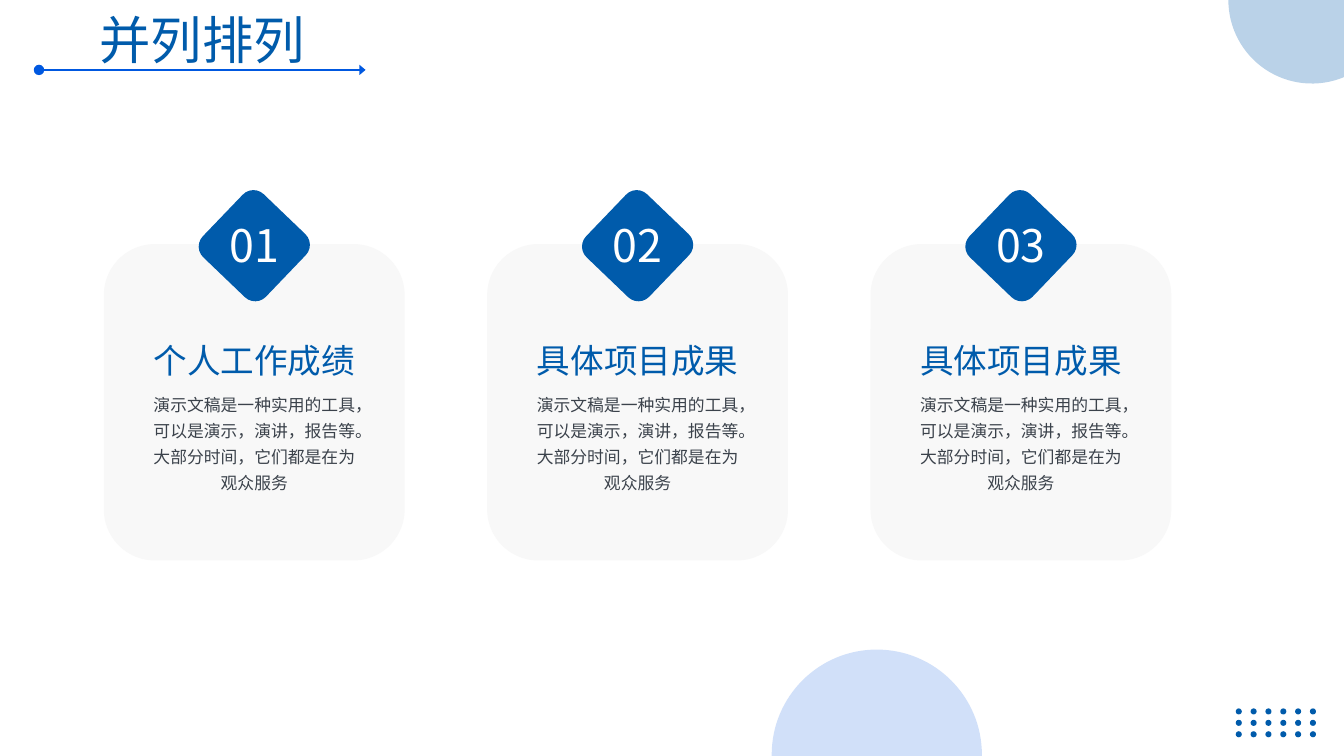
import math

from lxml import etree
from pptx import Presentation
from pptx.dml.color import RGBColor
from pptx.enum.shapes import MSO_CONNECTOR, MSO_SHAPE
from pptx.enum.text import MSO_ANCHOR, MSO_AUTO_SIZE, PP_ALIGN
from pptx.oxml.ns import qn
from pptx.util import Pt

ROUNDED, OVAL = MSO_SHAPE.ROUNDED_RECTANGLE, MSO_SHAPE.OVAL
STRAIGHT = MSO_CONNECTOR.STRAIGHT
CENTER, TOP, NO_FIT = PP_ALIGN.CENTER, MSO_ANCHOR.TOP, MSO_AUTO_SIZE.NONE
FONT = "Noto Sans CJK SC"
COLORS = {"blue": "005BAB", "bright": "0058E0", "card": "F8F8F8",
          "body": "3B424B", "white": "FFFFFF"}
SLIDE_W, SLIDE_H = 1440, 810
CARD_PITCH = 410.7
BODY = "演示文稿是一种实用的工具，可以是演示，演讲，报告等。大部分时间，它们都是在为观众服务"
CARDS = [("01", "个人工作成绩"), ("02", "具体项目成果"), ("03", "具体项目成果")]


def rgb(color):
    """Return the named colour."""
    return RGBColor.from_string(COLORS[color])


def paint(sp, color, opacity=100):
    """Give a shape a plain fill without line or shadow."""
    sp.shadow.inherit = False
    sp.line.fill.background()
    sp.fill.solid()
    sp.fill.fore_color.rgb = rgb(color)
    if opacity < 100:
        srgb = sp._element.spPr.find(".//" + qn("a:srgbClr"))
        etree.SubElement(srgb, qn("a:alpha"), val=str(opacity * 1000))


def add_shape(s, kind, x, y, w, h, color):
    """Add a filled preset shape."""
    sp = s.shapes.add_shape(kind, Pt(x), Pt(y), Pt(w), Pt(h))
    paint(sp, color)
    return sp


def write(sp, text, size, color, spacing):
    """Write one centred paragraph into a shape."""
    tf = sp.text_frame
    tf.word_wrap, tf.auto_size, tf.vertical_anchor = True, NO_FIT, TOP
    tf.margin_left = tf.margin_right = tf.margin_top = tf.margin_bottom = 0
    p = tf.paragraphs[0]
    p.text, p.alignment, p.line_spacing = text, CENTER, Pt(spacing)
    p.font.size, p.font.name, p.font.color.rgb = Pt(size), FONT, rgb(color)
    latin = p.font._element.find(qn("a:latin"))
    latin.addnext(latin.makeelement(qn("a:ea"), {"typeface": FONT}))


def add_text(s, x, y, w, h, *style):
    """Add a text box."""
    write(s.shapes.add_textbox(Pt(x), Pt(y), Pt(w), Pt(h)), *style)


def arc_points(cx, cy, r, start, end, pieces):
    """Return the start point, then two handles and an end point per curve."""
    step = math.radians(end - start) / pieces
    k = 4 / 3 * math.tan(step / 4)
    points = [(cx + r * math.cos(math.radians(start)),
               cy + r * math.sin(math.radians(start)))]
    for i in range(pieces):
        a = math.radians(start) + i * step
        b = a + step
        points += [(cx + r * (math.cos(a) - k * math.sin(a)),
                    cy + r * (math.sin(a) + k * math.cos(a))),
                   (cx + r * (math.cos(b) + k * math.sin(b)),
                    cy + r * (math.sin(b) - k * math.cos(b))),
                   (cx + r * math.cos(b), cy + r * math.sin(b))]
    return points


def add_disc(s, cx, cy, r, start, end, corners, color, opacity, pieces=2):
    """Add a translucent disc cut off at the slide edges."""
    points = [(Pt(x), Pt(y))
              for x, y in arc_points(cx, cy, r, start, end, pieces) + corners]
    builder = s.shapes.build_freeform(*points[0])
    builder.add_line_segments(points[1:], close=True)
    sp = builder.convert_to_shape()
    lines = list(sp._element.iter(qn("a:lnTo")))
    for i in range(0, 3 * pieces, 3):
        curve = lines[i].makeelement(qn("a:cubicBezTo"), {})
        lines[i].addprevious(curve)
        for line in lines[i:i + 3]:
            curve.append(line[0])
            line.getparent().remove(line)
    paint(sp, color, opacity)


def add_dots(s, x, y, w, h, rows=3, cols=6, d=6.5):
    """Spread a grid of small dots over a box."""
    for row in range(rows):
        for col in range(cols):
            add_shape(s, OVAL, x + col * (w - d) / (cols - 1),
                      y + row * (h - d) / (rows - 1), d, d, "blue")


def add_title(s, x, y, w, h, text):
    """Place the title with its arrow underneath."""
    sp = s.shapes.title
    sp.left, sp.top, sp.width, sp.height = Pt(x), Pt(y), Pt(w), Pt(h)
    write(sp, text, 55, "blue", 66)
    line = s.shapes.add_connector(STRAIGHT, Pt(x), Pt(y + h), Pt(x + w), Pt(y + h))
    line.line.color.rgb, line.line.width = rgb("bright"), Pt(2.25)
    ln = line._element.spPr.find(qn("a:ln"))
    etree.SubElement(ln, qn("a:headEnd"), type="oval", w="lg", len="lg")
    etree.SubElement(ln, qn("a:tailEnd"), type="triangle", w="lg", len="med")
    etree.SubElement(line._element.spPr, qn("a:effectLst"))


def add_card(s, x, y, w, h, number, heading):
    """Add a rounded card with a numbered diamond on its top edge."""
    mid, side = x + w / 2, 93.6
    card = add_shape(s, ROUNDED, x, y, w, h, "card")
    card.adjustments[0] = 0.17
    diamond = add_shape(s, ROUNDED, mid - side / 2, y - 45, side, side, "blue")
    diamond.adjustments[0] = 0.17
    diamond.rotation = 43.8
    add_text(s, mid - 59.5, y - 28.3, 119, 58.3, number, 48, "white", 57.6)
    add_text(s, mid - 109, y + 102.7, 218, 44, heading, 36, "blue", 43.2)
    add_text(s, mid - 112.7, y + 154.5, 225.4, 113.8, BODY, 18, "body", 28.1)


def main():
    """Build the slide."""
    prs = Presentation()
    prs.slide_width, prs.slide_height = Pt(SLIDE_W), Pt(SLIDE_H)
    s = prs.slides.add_slide(prs.slide_layouts[5])
    add_disc(s, 939.4, 808.6, 112.6, 180, 360,
             [(1052, SLIDE_H), (826.8, SLIDE_H)], "bright", 18)
    add_dots(s, 1324, 759, 86, 31)
    add_title(s, 41.8, 8.4, 349.9, 66.5, "并列排列")
    for i, (number, heading) in enumerate(CARDS):
        add_card(s, 111.3 + i * CARD_PITCH, 261.5, 322.3, 339, number, heading)
    add_disc(s, 1405.6, 0, 89.5, 67.4, 180, [(SLIDE_W, 0)], "blue", 27)
    prs.save("out.pptx")


if __name__ == "__main__":
    main()
